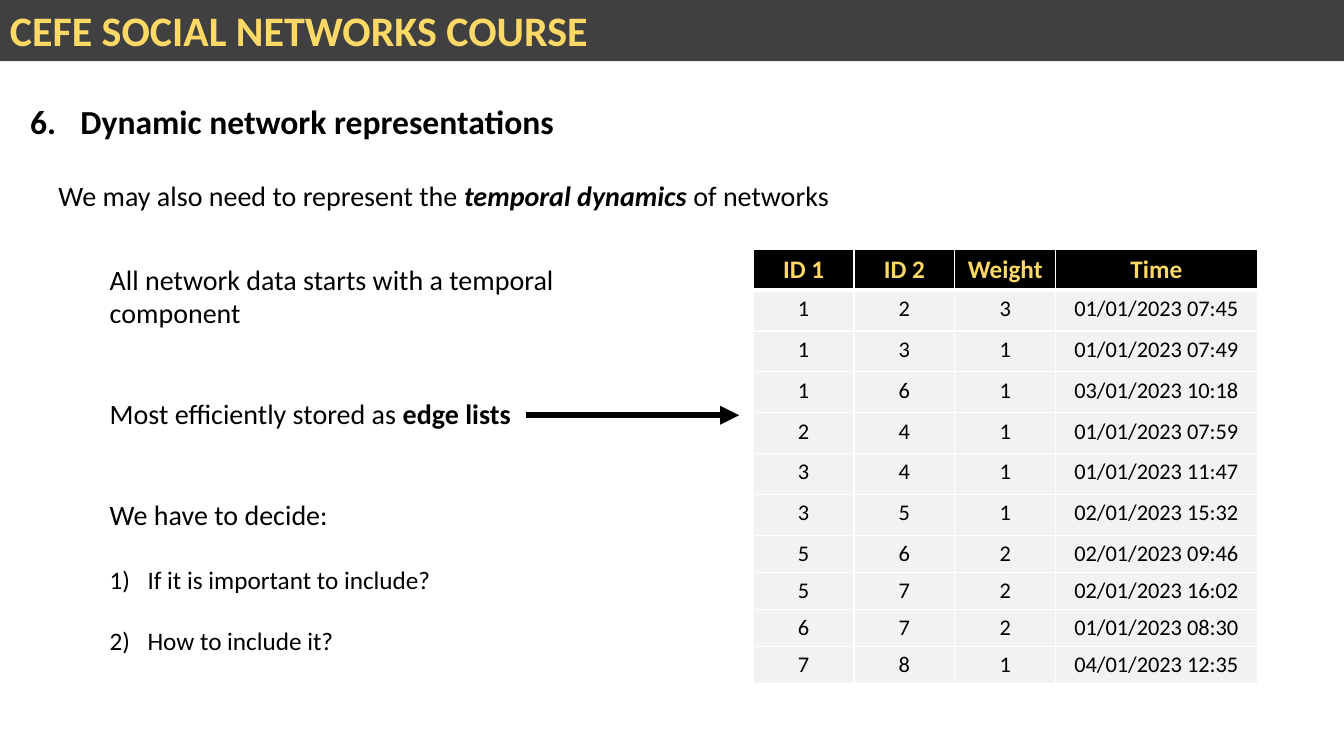
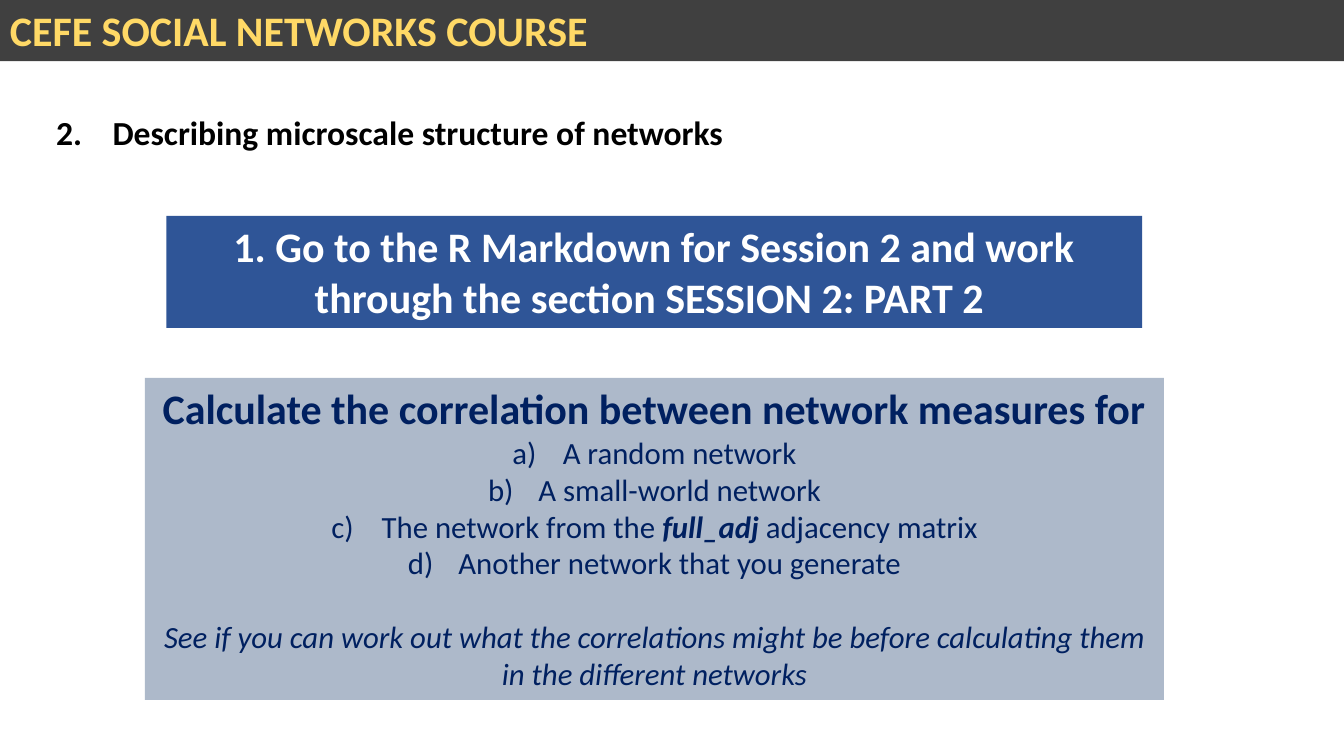
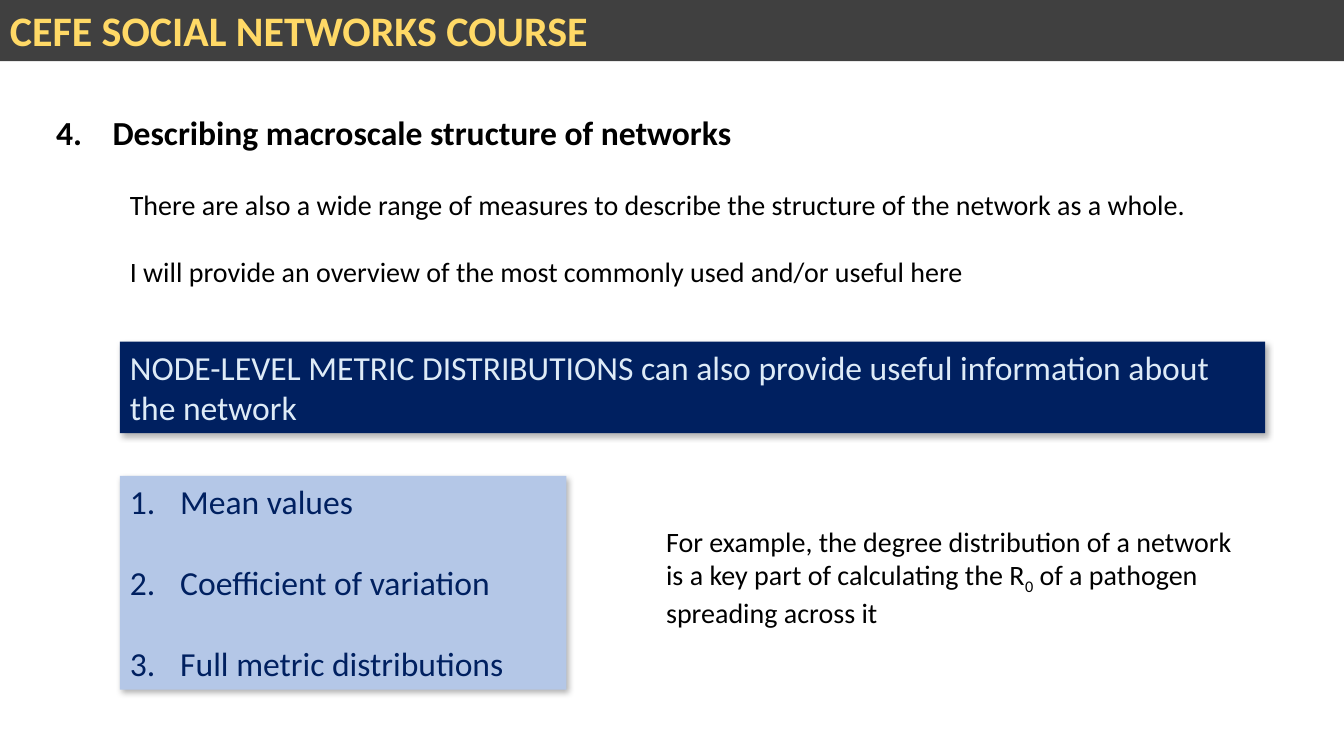
from pptx import Presentation
from pptx.dml.color import RGBColor
from pptx.enum.shapes import MSO_CONNECTOR, MSO_SHAPE
from pptx.enum.text import MSO_ANCHOR, PP_ALIGN
from pptx.oxml import parse_xml
from pptx.oxml.ns import nsdecls
from pptx.util import Pt

BLACK = RGBColor(0x00, 0x00, 0x00)
WHITE = RGBColor(0xFF, 0xFF, 0xFF)
CHARCOAL = RGBColor(0x40, 0x40, 0x40)
GOLD = RGBColor(0xFF, 0xD9, 0x66)
PALE_GREY = RGBColor(0xF2, 0xF2, 0xF2)
BLUE = RGBColor(0x2F, 0x55, 0x97)
NAVY = RGBColor(0x00, 0x20, 0x60)
GREY_BLUE = RGBColor(0xAD, 0xB9, 0xCA)
LIGHT_BLUE = RGBColor(0xB4, 0xC7, 0xE7)
ICE = RGBColor(0xDE, 0xEB, 0xF7)

FONT = "Calibri"
WIDTH, HEIGHT = 960, 540
COURSE = "CEFE SOCIAL NETWORKS COURSE"

EDGES = [
    ("1", "2", "3", "01/01/2023 07:45"),
    ("1", "3", "1", "01/01/2023 07:49"),
    ("1", "6", "1", "03/01/2023 10:18"),
    ("2", "4", "1", "01/01/2023 07:59"),
    ("3", "4", "1", "01/01/2023 11:47"),
    ("3", "5", "1", "02/01/2023 15:32"),
    ("5", "6", "2", "02/01/2023 09:46"),
    ("5", "7", "2", "02/01/2023 16:02"),
    ("6", "7", "2", "01/01/2023 08:30"),
    ("7", "8", "1", "04/01/2023 12:35"),
]


class Deck:
    """Course slide style together with the slide being built."""

    def __init__(self):
        self.prs = Presentation()
        self.prs.slide_width, self.prs.slide_height = Pt(WIDTH), Pt(HEIGHT)
        self.s = None

    def slide(self, number, title, left=33, top=76.3, indent=40.3):
        self.s = self.prs.slides.add_slide(self.prs.slide_layouts[6])
        band = self.box(0, 0, WIDTH, 43.7, CHARCOAL)
        self.para(band, COURSE, 30, GOLD, bold=True)
        heading = self.text(left, top, 900, 36)
        self.para(heading, title, 24, bold=True, indent=indent,
                  number="arabicPeriod", start=number)

    def text(self, x, y, w, h):
        tf = self.s.shapes.add_textbox(Pt(x), Pt(y), Pt(w), Pt(h)).text_frame
        tf.word_wrap = True
        return tf

    def box(self, x, y, w, h, fill, shadow=False):
        sp = self.s.shapes.add_shape(MSO_SHAPE.RECTANGLE, Pt(x), Pt(y), Pt(w), Pt(h))
        sp.fill.solid()
        sp.fill.fore_color.rgb = fill
        sp.line.fill.background()
        sp.shadow.inherit = False
        if shadow:
            effects = sp._element.spPr.find(
                "{http://schemas.openxmlformats.org/drawingml/2006/main}effectLst")
            effects.append(parse_xml(
                f'<a:outerShdw {nsdecls("a")} blurRad="{Pt(4.5)}" dist="{Pt(2.6)}" '
                'dir="3180000" algn="ctr" rotWithShape="0"><a:srgbClr val="000000">'
                '<a:alpha val="30000"/></a:srgbClr></a:outerShdw>'))
        tf = sp.text_frame
        tf.word_wrap = True
        tf.vertical_anchor = MSO_ANCHOR.TOP
        return tf

    def para(self, tf, runs, size, color=BLACK, bold=False, italic=False,
             align=PP_ALIGN.LEFT, before=0, number=None, start=1, indent=36):
        p = tf.paragraphs[0] if not tf.paragraphs[0].runs else tf.add_paragraph()
        p.alignment = align
        if number:
            pPr = p._p.get_or_add_pPr()
            pPr.set("marL", str(Pt(indent)))
            pPr.set("indent", str(-Pt(indent)))
            pPr.append(parse_xml(
                f'<a:buAutoNum {nsdecls("a")} type="{number}" startAt="{start}"/>'))
        if before:
            p.space_before = Pt(before)
        for text, marks in [(runs, "")] if isinstance(runs, str) else runs:
            r = p.add_run()
            r.text = text
            r.font.name = FONT
            r.font.size = Pt(size)
            r.font.color.rgb = color
            r.font.bold = bold or "b" in marks
            r.font.italic = italic or "i" in marks
            if "_" in marks:
                r._r.get_or_add_rPr().set("baseline", "-25000")

    def arrow(self, x1, y1, x2, y2):
        cn = self.s.shapes.add_connector(
            MSO_CONNECTOR.STRAIGHT, Pt(x1), Pt(y1), Pt(x2), Pt(y2))
        cn.line.color.rgb = BLACK
        cn.line.width = Pt(4.5)
        cn.line._get_or_add_ln().append(
            parse_xml(f'<a:tailEnd {nsdecls("a")} type="triangle"/>'))
        cn._element.spPr.append(parse_xml(f'<a:effectLst {nsdecls("a")}/>'))

    def table(self, x, y, widths, heights, rows):
        table = self.s.shapes.add_table(
            len(rows), len(widths), Pt(x), Pt(y),
            Pt(sum(widths)), Pt(sum(heights))).table
        table.horz_banding = False
        for column, width in zip(table.columns, widths):
            column.width = Pt(width)
        for i, (row, height, values) in enumerate(zip(table.rows, heights, rows)):
            row.height = Pt(height)
            header = i == 0
            for cell, value in zip(row.cells, values):
                cell.fill.solid()
                cell.fill.fore_color.rgb = BLACK if header else PALE_GREY
                self.para(cell.text_frame, value, 18 if header else 16,
                          GOLD if header else BLACK, bold=header,
                          align=PP_ALIGN.CENTER)
                self.borders(cell, 3 if header else 1)

    def borders(self, cell, bottom):
        tcPr = cell._tc.get_or_add_tcPr()
        for i, side in enumerate("LRTB"):
            width = Pt(bottom if side == "B" else 1)
            tcPr.insert(i, parse_xml(
                f'<a:ln{side} {nsdecls("a")} w="{width}"><a:solidFill>'
                f'<a:srgbClr val="{WHITE}"/></a:solidFill></a:ln{side}>'))


def dynamic_representations(deck):
    """Build the slide on temporal edge lists."""
    deck.slide(6, "Dynamic network representations", 14.4, 68.4, 36)
    tf = deck.text(34.6, 123.8, 901, 31.7)
    deck.para(tf, [("We may also need to represent the ", ""),
                   ("temporal dynamics ", "bi"), ("of networks", "")], 20)
    deck.table(538, 178, [72, 72, 72, 144], [29.2] * 7 + [26.4] * 4,
               [("ID 1", "ID 2", "Weight", "Time")] + EDGES)
    tf = deck.text(71.3, 183.6, 408, 298)
    deck.para(tf, "All network data starts with a temporal component", 20)
    deck.para(tf, [("Most efficiently stored as ", ""), ("edge lists", "b")], 20,
              before=48)
    deck.para(tf, "We have to decide:", 20, before=48)
    for text, gap in [("If it is important to include?", 24),
                      ("How to include it?", 22)]:
        deck.para(tf, text, 18, before=gap, number="arabicParenR", indent=27)
    deck.arrow(376, 296.6, 528, 296.6)


def microscale_exercise(deck):
    """Build the slide with the correlation exercise."""
    center = PP_ALIGN.CENTER
    deck.slide(2, "Describing microscale structure of networks")
    tf = deck.box(118.8, 154.2, 697, 80, BLUE)
    deck.para(tf, "1. Go to the R Markdown for Session 2 and work through "
                  "the section SESSION 2: PART 2 ", 30, WHITE, bold=True, align=center)
    tf = deck.box(103.5, 270, 728, 230, GREY_BLUE)
    deck.para(tf, "Calculate the correlation between network measures for",
              30, NAVY, bold=True, align=center)
    for runs in ["A random network", "A small-world network",
                 [("The network from the ", ""), ("full_adj ", "bi"),
                  ("adjacency matrix", "")],
                 "Another network that you generate"]:
        deck.para(tf, runs, 22, NAVY, align=center, number="alphaLcParenR")
    deck.para(tf, "See if you can work out what the correlations might be before "
                  "calculating them in the different networks",
              22, NAVY, italic=True, align=center, before=26)


def macroscale_structure(deck):
    """Build the slide on node-level metric distributions."""
    deck.slide(4, "Describing macroscale structure of networks")
    tf = deck.text(85.7, 130.3, 797, 80)
    deck.para(tf, "There are also a wide range of measures to describe the "
                  "structure of the network as a whole.", 20)
    deck.para(tf, "I will provide an overview of the most commonly used and/or "
                  "useful here", 20, before=24)
    tf = deck.box(85.7, 244, 818, 65.4, NAVY, shadow=True)
    deck.para(tf, "NODE-LEVEL METRIC DISTRIBUTIONS can also provide useful "
                  "information about the network", 24, ICE)
    tf = deck.box(85.7, 340, 319, 152.7, LIGHT_BLUE, shadow=True)
    for i, text in enumerate(["Mean values", "Coefficient of variation",
                              "Full metric distributions"]):
        deck.para(tf, text, 24, NAVY, before=29 if i else 0, number="arabicPeriod")
    tf = deck.text(468.7, 370.8, 435, 80)
    deck.para(tf, [("For example, the degree distribution of a network is a key "
                    "part of calculating the R", ""), ("0", "_"),
                   (" of a pathogen spreading across it", "")], 20)


def main():
    """Build the three slides and save them."""
    deck = Deck()
    dynamic_representations(deck)
    microscale_exercise(deck)
    macroscale_structure(deck)
    deck.prs.save("out.pptx")


if __name__ == "__main__":
    main()
